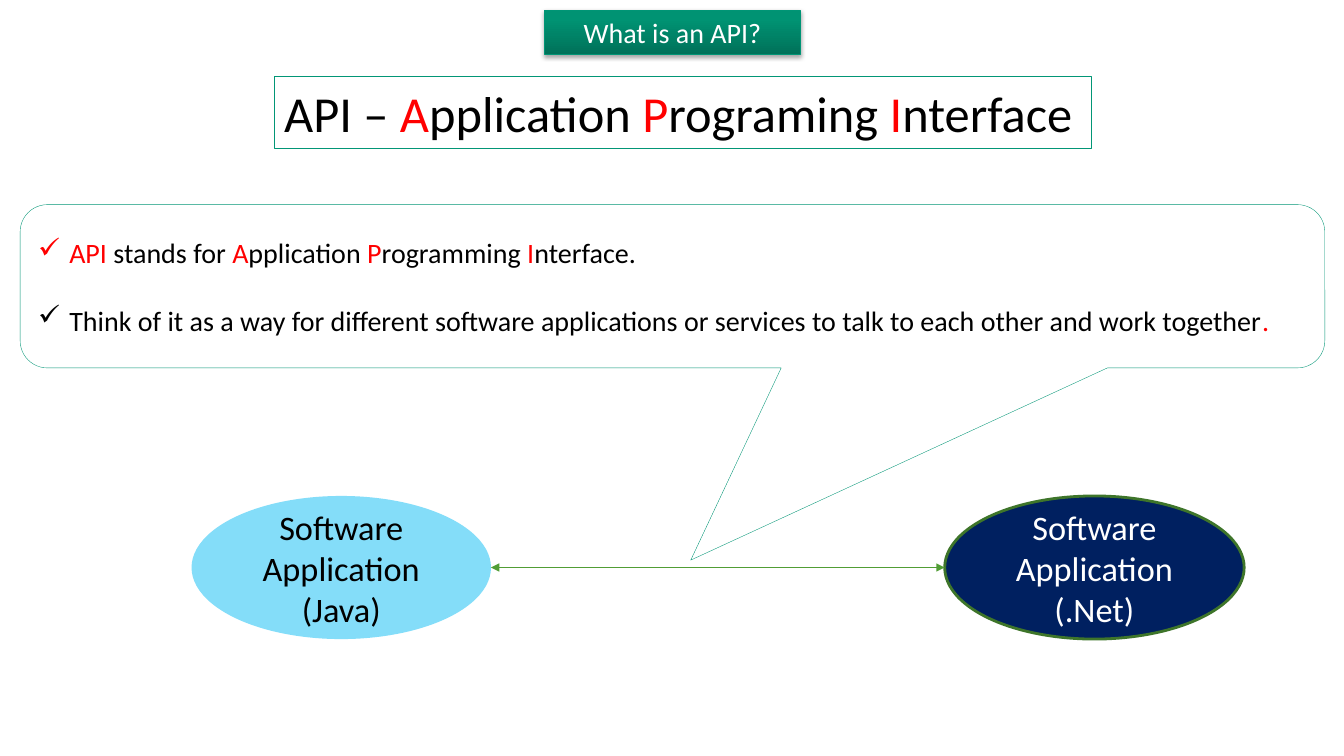
from dataclasses import dataclass

from lxml.etree import SubElement
from pptx import Presentation
from pptx.dml.color import RGBColor
from pptx.enum.shapes import MSO_CONNECTOR, MSO_SHAPE
from pptx.enum.text import MSO_ANCHOR, PP_ALIGN
from pptx.oxml import parse_xml
from pptx.oxml.ns import nsdecls, qn
from pptx.util import Inches, Pt

CELL = Inches(0.1)
COLORS = {
    "banner_low": "007159", "banner_mid": "009373", "banner_high": "009474",
    "banner_line": "009575", "teal": "029676", "white": "FFFFFF",
    "black": "000000", "red": "FF0000", "sky": "84DDF9", "navy": "002060",
    "dark_green": "3E752A", "green": "519D35",
}


@dataclass
class Box:
    """An area counted in columns and rows of the slide grid."""
    left: float
    top: float
    width: float
    height: float

    def lengths(self):
        return [round(n * CELL) for n in (self.left, self.top, self.width, self.height)]


def color(name):
    return RGBColor.from_string(COLORS[name])


def add_outline(line, name, width):
    line.color.rgb = color(name)
    line.width = Pt(width)


def add_panel(page, kind, box, fill=None, line=None, width=0.25):
    panel = page.shapes.add_shape(kind, *box.lengths())
    panel.shadow.inherit = False
    if fill:
        panel.fill.solid()
        panel.fill.fore_color.rgb = color(fill)
    if line:
        add_outline(panel.line, line, width)
    else:
        panel.line.fill.background()
    frame_format = {"word_wrap": True, "vertical_anchor": MSO_ANCHOR.MIDDLE}
    for name, value in frame_format.items():
        setattr(panel.text_frame, name, value)
    return panel


def write(para, text, size, ink="black", align=PP_ALIGN.LEFT):
    """Fill a paragraph; parts between asterisks turn red."""
    para.alignment = align
    for index, part in enumerate(text.split("*")):
        if part:
            span = para.add_run()
            span.text = part
            span_format = {"name": "Calibri", "size": Pt(size)}
            for name, value in span_format.items():
                setattr(span.font, name, value)
            span.font.color.rgb = color("red" if index % 2 else ink)


def add_check_bullet(para):
    properties = para._p.get_or_add_pPr()
    indent = Inches(0.31)
    properties.set("marL", str(indent))
    properties.set("indent", str(-indent))
    SubElement(properties, qn("a:buChar")).set("char", "✓")


def add_banner(page, box, text):
    banner = add_panel(page, MSO_SHAPE.RECTANGLE, box, line="banner_line", width=0.75)
    banner.fill.gradient()
    banner.fill.gradient_angle = 90
    stops = banner._element.spPr.find(qn("a:gradFill")).find(qn("a:gsLst"))
    for stop in list(stops):
        stops.remove(stop)
    for position, name in ((0, "banner_low"), (80, "banner_mid"), (100, "banner_high")):
        stop = SubElement(stops, qn("a:gs"), pos=str(position * 1000))
        SubElement(stop, qn("a:srgbClr"), val=COLORS[name])
    banner._element.spPr.find(qn("a:effectLst")).append(parse_xml(
        f'<a:outerShdw {nsdecls("a")} blurRad="{Pt(3.1)}" dist="{Pt(1.8)}" '
        f'dir="5400000" rotWithShape="0"><a:srgbClr val="{COLORS["black"]}">'
        '<a:alpha val="35000"/></a:srgbClr></a:outerShdw>'))
    write(banner.text_frame.paragraphs[0], text, 20, "white", PP_ALIGN.CENTER)


def add_heading(page, box, text):
    heading = add_panel(page, MSO_SHAPE.RECTANGLE, box, "white", "teal")
    write(heading.text_frame.paragraphs[0], text, 36)


def add_callout(page, box, points):
    callout = add_panel(page, MSO_SHAPE.ROUNDED_RECTANGULAR_CALLOUT, box, "white", "teal")
    for index, value in enumerate((0.014, 1.677, 0.167)):
        callout.adjustments[index] = value
    frame = callout.text_frame
    for index, point in enumerate(points):
        para = frame.add_paragraph() if index else frame.paragraphs[0]
        if index:
            para.space_before = Pt(24)
        add_check_bullet(para)
        write(para, point, 20)


def add_application(page, box, text, fill, ink, line=None):
    oval = add_panel(page, MSO_SHAPE.OVAL, box, fill, line, 2)
    write(oval.text_frame.paragraphs[0], text, 24.5, ink, PP_ALIGN.CENTER)
    return oval


def add_double_arrow(page, start, end):
    """Join the right side of one shape to the left side of another."""
    middle = start.top + start.height // 2
    arrow = page.shapes.add_connector(
        MSO_CONNECTOR.STRAIGHT, start.left + start.width, middle, end.left, middle)
    add_outline(arrow.line, "green", 0.75)
    line = arrow.line._get_or_add_ln()
    for tag in ("a:headEnd", "a:tailEnd"):
        SubElement(line, qn(tag), type="triangle")
    SubElement(arrow._element.spPr, qn("a:effectLst"))


def add_exchange(page, box):
    width = 29.7
    java = add_application(page, Box(box.left, box.top, width, box.height),
                           "Software Application (Java)", "sky", "black")
    right = box.left + box.width - width
    net = add_application(page, Box(right, box.top, width, box.height),
                          "Software Application (.Net)", "navy", "white", "dark_green")
    add_double_arrow(page, java, net)


def main():
    deck = Presentation()
    deck.slide_width, deck.slide_height = Inches(13.33), Inches(7.5)
    page = deck.slides.add_slide(deck.slide_layouts[6])
    add_banner(page, Box(54, 1, 25.4, 4.4), "What is an API?")
    add_exchange(page, Box(19, 49.2, 104.4, 14.2))
    add_callout(page, Box(2, 20.3, 129.4, 16.2), (
        "*API* stands for *A*pplication *P*rogramming *I*nterface.",
        "Think of it as a way for different software applications or services "
        "to talk to each other and work together*.*"))
    add_heading(page, Box(27.2, 7.6, 81, 7.1), "API – *A*pplication *P*rograming *I*nterface")
    deck.save("out.pptx")


if __name__ == "__main__":
    main()
